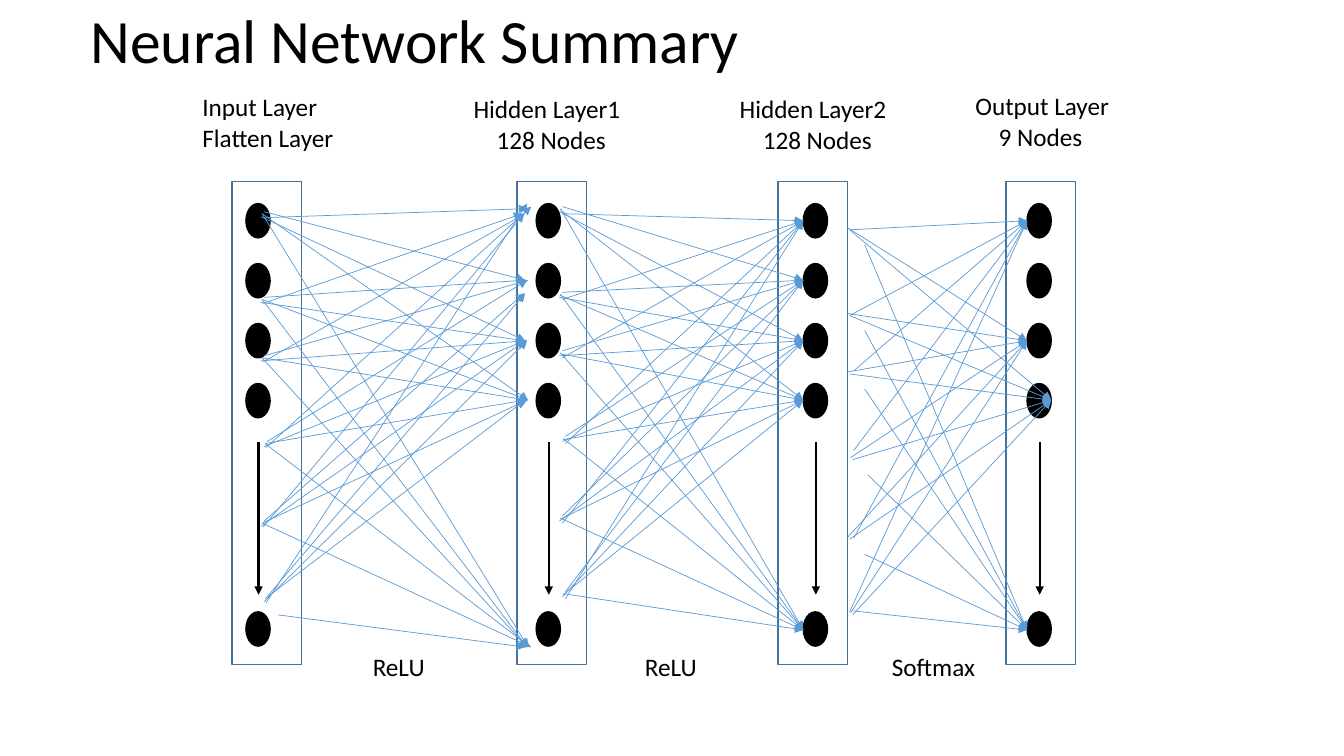
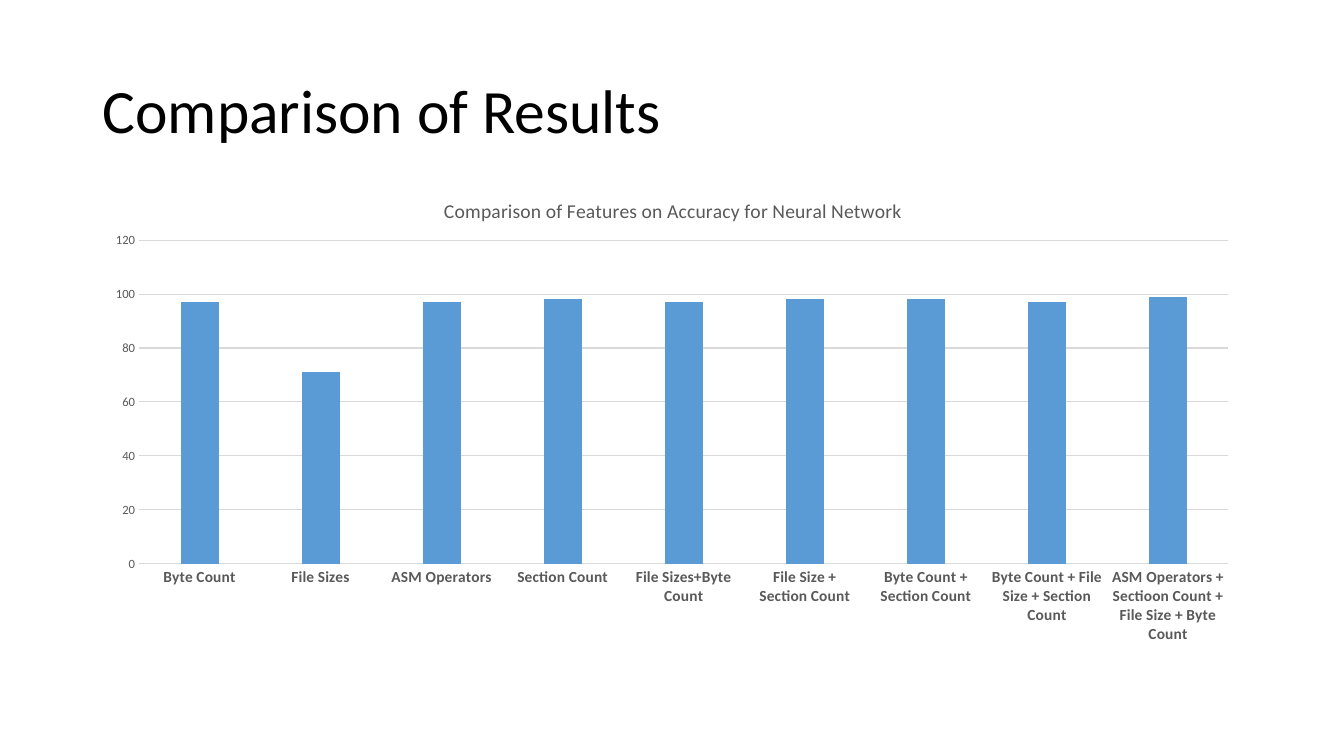
"""Build two slides: a neural network diagram and a chart of its results."""
from lxml.etree import SubElement
from pptx import Presentation
from pptx.chart.data import CategoryChartData
from pptx.dml.color import RGBColor
from pptx.enum.chart import XL_CHART_TYPE, XL_TICK_MARK
from pptx.enum.shapes import MSO_CONNECTOR, MSO_SHAPE
from pptx.enum.text import MSO_ANCHOR
from pptx.oxml import parse_xml
from pptx.oxml.ns import nsdecls, qn
from pptx.util import Cm, Pt

BLACK = RGBColor(0, 0, 0)
BLUE = RGBColor(0x5B, 0x9B, 0xD5)
NAVY = RGBColor(0x43, 0x73, 0x9E)
GREY = RGBColor(0x59, 0x59, 0x59)
PALE = RGBColor(0xD9, 0xD9, 0xD9)
FONT = "Calibri"
INCH = 2.54

LAYERS = [
    (2.3, 2.44), (5.13, 5.32), (7.72, 7.97), (9.98, 10.19),
]
NODES = [2.02 + 0.595 * row for row in range(4)] + [6.07]
HEADS = [
    (1.91, 0.86, ["Input Layer", "Flatten Layer"], 0),
    (4.6, 0.88, ["Hidden Layer1", "128 Nodes"], 0.23),
    (7.24, 0.88, ["Hidden Layer2", "128 Nodes"], 0.23),
    (9.58, 0.85, ["Output Layer", "9 Nodes"], 0.23),
]
STEPS = [(3.32, "ReLU"), (6.02, "ReLU"), (8.47, "Softmax")]

ROWS = [(0, 0), (0, 0.85), (0, 1.43), (0.03, 2.28), (0, 3.07), (0.03, 3.82)]
FANS = [
    (8.41, 2.26, [(10.19, 3.38)] * 6),
    (8.43, 2.28, [(10.43, 3.97)] * 6),
    (5.58, 2.12, [(7.97, 2.19)] * 6),
    (8.43, 2.28, [(10.19, 2.19)] * 6),
    (8.58, 2.43, [(10.19, 6.25)] * 6),
    (5.58, 2.05, [(7.97, 2.78)] * 6),
    (5.55, 2.1, [(7.97, 3.38)] * 6),
    (5.56, 2.08, [(7.97, 3.97)] * 6),
    (5.56, 2.07, [(7.97, 6.25)] * 6),
    (2.61, 2.16, [(5.23, 2.07), (5.18, 2.12), (5.21, 2.12),
                  (5.27, 2.05), (5.2, 2.12), (5.23, 2.02)]),
    (2.62, 2.1, [(5.21, 2.78), (5.2, 2.78), (5.24, 2.78),
                 (5.23, 2.78), (5.2, 2.91), (5.21, 2.91)]),
    (2.59, 2.15, [(x, 3.38) for x in (5.21, 5.2, 5.23, 5.21, 5.21, 5.23)]),
    (2.6, 2.12, [(x, 3.97) for x in (5.24, 5.24, 5.24, 5.21, 5.23, 5.21)]),
    (2.6, 2.12, [(x, 6.42) for x in (5.24, 5.23, 5.23, 5.26, 5.27, 5.21)]),
]
MOVED = {
    (3, 2): (8.47, 3.68), (3, 3): (8.47, 4.47), (3, 4): (8.47, 5.34),
    (3, 5): (8.43, 6.07), (4, 5): (8.46, 6.06), (13, 5): (2.76, 6.1),
}

SCORES = [
    ("Byte Count", 97),
    ("File Sizes", 71),
    ("ASM Operators", 97),
    ("Section Count", 98),
    ("File Sizes+Byte Count", 97),
    ("File Size + Section Count", 98),
    ("Byte Count + Section Count", 98),
    ("Byte Count + File Size + Section Count", 97),
    ("ASM Operators + Sectioon Count + File Size + Byte Count", 99),
]


def scale(*sizes):
    return [Cm(size * INCH) for size in sizes]


def style(font, size, color=BLACK, bold=False):
    font.name, font.size, font.bold = FONT, Pt(size), bold
    font.color.rgb = color


def add_text(slide, box, lines, size, indent=0):
    frame = slide.shapes.add_textbox(*scale(*box)).text_frame
    frame.word_wrap = True
    frame.text = "\n".join(lines)
    for para in frame.paragraphs:
        style(para.runs[0].font, size)
    if indent:
        props = frame.paragraphs[-1]._p.get_or_add_pPr()
        props.set("marL", str(scale(indent)[0]))
    return frame


def add_page(deck, title, box):
    slide = deck.slides.add_slide(deck.slide_layouts[6])
    frame = add_text(slide, box, [title], 44)
    frame.vertical_anchor = MSO_ANCHOR.MIDDLE
    frame.paragraphs[0].line_spacing = 0.9
    return slide


def add_shape(slide, kind, box, edge, fill=None):
    shape = slide.shapes.add_shape(kind, *scale(*box))
    shape.shadow.inherit = False
    shape.line.color.rgb, shape.line.width = edge, Pt(1)
    if fill is None:
        shape.fill.background()
    else:
        shape.fill.solid()
        shape.fill.fore_color.rgb = fill


def add_arrow(slide, start, end, color, width):
    arrow = slide.shapes.add_connector(
        MSO_CONNECTOR.STRAIGHT, *scale(*start, *end))
    arrow.line.color.rgb, arrow.line.width = color, Pt(width)
    SubElement(arrow.line._get_or_add_ln(), qn("a:tailEnd"), type="triangle")
    SubElement(arrow._element.spPr, qn("a:effectLst"))


def place(part, index, **spots):
    for old in part.findall(qn("c:layout")):
        part.remove(old)
    inner = '<c:layoutTarget val="inner"/>' if "w" in spots else ""
    modes = "".join(f'<c:{key}Mode val="edge"/>' for key in "xy")
    sizes = "".join(f'<c:{key} val="{val}"/>' for key, val in spots.items())
    part.insert(index, parse_xml(
        f'<c:layout {nsdecls("c")}><c:manualLayout>{inner}{modes}{sizes}'
        '</c:manualLayout></c:layout>'))


def draw_net(deck):
    slide = add_page(deck, "Neural Network Summary", (0.8, 0, 11.14, 0.87))
    for left, node in LAYERS:
        add_shape(slide, MSO_SHAPE.RECTANGLE, (left, 1.8, 0.69, 4.79), NAVY)
        for top in NODES:
            add_shape(slide, MSO_SHAPE.OVAL, (node, top, 0.24, 0.34),
                      BLACK, BLACK)
        mid = node + 0.125
        add_arrow(slide, (mid, 4.39), (mid, 5.9), BLACK, 1.5)
    for fan, (x, y, ends) in enumerate(FANS):
        for row, ((dx, dy), end) in enumerate(zip(ROWS, ends)):
            start = MOVED.get((fan, row), (x + dx, y + dy))
            add_arrow(slide, start, end, BLUE, 0.5)
    for left, top, lines, indent in HEADS:
        add_text(slide, (left, top, 1.7, 0.71), lines, 18, indent)
    for left, name in STEPS:
        add_text(slide, (left, 6.41, 1.51, 0.4), [name], 18, 0.28)


def draw_chart(deck):
    slide = add_page(deck, "Comparison of Results", (0.92, 0.4, 11.5, 1.45))
    names, marks = zip(*SCORES)
    data = CategoryChartData()
    data.categories = names
    data.add_series("Series 1", marks)
    chart = slide.shapes.add_chart(
        XL_CHART_TYPE.COLUMN_CLUSTERED,
        *scale(0.92, 1.73, 11.5, 4.76), data).chart
    style(chart.font, 10)
    chart.has_legend = False
    frame = chart.chart_title.text_frame
    frame.text = "Comparison of Features on Accuracy for Neural Network"
    style(frame.paragraphs[0].runs[0].font, 14, GREY)
    place(chart.chart_title._element, 1, x=0.3, y=0.04)
    place(chart._chartSpace.chart.plotArea, 0, x=0.04, y=0.137, w=0.94, h=0.675)

    plot = chart.plots[0]
    plot.gap_width, plot.overlap = 219, -27
    plot.vary_by_categories = False
    fill = plot.series[0].format.fill
    fill.solid()
    fill.fore_color.rgb = BLUE

    cats, vals = chart.category_axis, chart.value_axis
    style(cats.tick_labels.font, 11, GREY, True)
    style(vals.tick_labels.font, 9, GREY)
    for axis in (cats, vals):
        axis.major_tick_mark = axis.minor_tick_mark = XL_TICK_MARK.NONE
    vals.minimum_scale, vals.maximum_scale, vals.major_unit = 0, 120, 20
    vals.has_major_gridlines = True
    vals.format.line.fill.background()
    for line in (cats.format.line, vals.major_gridlines.format.line):
        line.color.rgb, line.width = PALE, Pt(0.75)


deck = Presentation()
deck.slide_width, deck.slide_height = Cm(33.87), Cm(19.05)
draw_net(deck)
draw_chart(deck)
deck.save("out.pptx")
